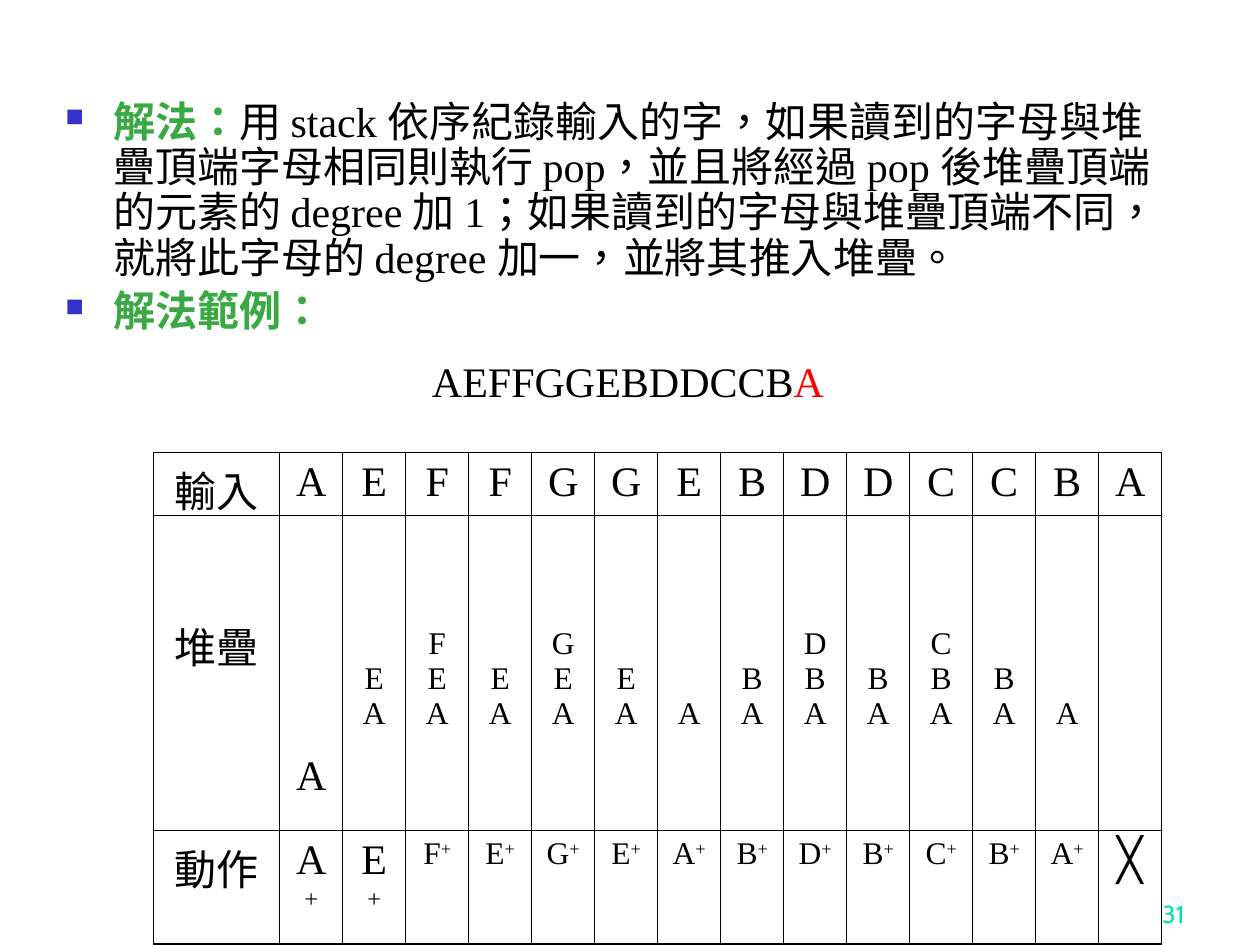
from dataclasses import dataclass

from pptx import Presentation
from pptx.dml.color import RGBColor as RGB
from pptx.enum.lang import MSO_LANGUAGE_ID as Lang
from pptx.enum.text import MSO_ANCHOR as Anchor, PP_ALIGN as Align
from pptx.oxml import parse_xml
from pptx.oxml.ns import nsdecls
from pptx.util import Inches, Pt


@dataclass(frozen=True)
class Theme:
    """Fonts, colours and type sizes of the slide."""
    serif: str = "Times New Roman"
    sans: str = "Cabin"
    ink: str = "000000"
    paper: str = "FFFFFF"
    heading: str = "3BA943"
    bullet: str = "3333CC"
    mismatch: str = "FF0000"
    number: str = "00E4A8"
    large: int = 24
    medium: int = 18
    small: int = 14


T = Theme()

SOLUTION = (
    "用 stack 依序紀錄輸入的字，如果讀到的字母與堆疊頂端字母相同則執行 pop，"
    "並且將經過 pop 後堆疊頂端的元素的 degree 加 1；如果讀到的字母與堆疊頂端不同，"
    "就將此字母的 degree 加一，並將其推入堆疊。"
)
WORD = "AEFFGGEBDDCCBA"
STACKS = ["A", "EA", "FEA", "EA", "GEA", "EA", "A", "BA", "DBA", "BA", "CBA", "BA", "A", ""]
ACTIONS = "AEFEGEABDBCBA"
ROW_HEIGHTS = [0.5, 2.5, 0.9]
LABEL_WIDTH, LETTER_WIDTH = 1, 0.5
STACK_BASE, STACK_LINE = 1.44, 0.28


def add_run(p, text, size=T.large, color=T.ink, font=T.serif, bold=False, raised=False):
    """Append a formatted run to a paragraph."""
    r = p.add_run()
    r.text = text
    r.font.size = Pt(size)
    r.font.name = font
    r.font.bold = bold
    r.font.color.rgb = RGB.from_string(color)
    r.font.language_id = Lang.TRADITIONAL_CHINESE
    if raised:
        r._r.get_or_add_rPr().set("baseline", "30000")


def add_box(s, left, top, width, height, wrap=True, anchor=Anchor.TOP):
    """Add a text box and return its text frame."""
    tf = s.shapes.add_textbox(*map(Inches, (left, top, width, height))).text_frame
    tf.word_wrap = wrap
    tf.vertical_anchor = anchor
    return tf


def add_bullet(p):
    """Give a paragraph a square bullet with a hanging indent."""
    pPr = p._p.get_or_add_pPr()
    pPr.set("marL", str(Inches(0.38)))
    pPr.set("indent", str(-Inches(0.38)))
    p.line_spacing = 0.9
    for xml in (
        f'<a:buClr {nsdecls("a")}><a:srgbClr val="{T.bullet}"/></a:buClr>',
        f'<a:buSzPct {nsdecls("a")} val="60000"/>',
        f'<a:buChar {nsdecls("a")} char="■"/>',
    ):
        pPr.append(parse_xml(xml))


def style_cell(cell, top=0.05):
    """Set the borders, fill and top margin of a cell."""
    tcPr = cell._tc.get_or_add_tcPr()
    for side in "LRTB":
        tcPr.append(parse_xml(
            f'<a:ln{side} {nsdecls("a")} w="12700"><a:solidFill>'
            f'<a:srgbClr val="{T.ink}"/></a:solidFill></a:ln{side}>'))
    cell.fill.solid()
    cell.fill.fore_color.rgb = RGB.from_string(T.paper)
    cell.margin_top = Inches(top)


def fill_cell(cell, lines, size=T.large, top=0.05, suffix=""):
    """Write centred lines into a cell, with an optional raised suffix."""
    style_cell(cell, top)
    tf = cell.text_frame
    for i, line in enumerate(lines):
        p = tf.add_paragraph() if i else tf.paragraphs[0]
        p.alignment = Align.CENTER
        add_run(p, line, size)
        if suffix:
            add_run(p, suffix, size, raised=True)


def add_explanation(s):
    """Add the bulleted description of the method."""
    tf = add_box(s, 0.42, 0.75, 8.83, 6.15)
    p = tf.paragraphs[0]
    add_bullet(p)
    add_run(p, "解法：", color=T.heading, bold=True)
    add_run(p, SOLUTION)
    p = tf.add_paragraph()
    p.space_before = Pt(4.8)
    add_bullet(p)
    add_run(p, "解法範例：", color=T.heading, bold=True)


def add_trace(s):
    """Add the table of input, stack and action per letter."""
    widths = [LABEL_WIDTH] + [LETTER_WIDTH] * len(WORD)
    table = s.shapes.add_table(
        len(ROW_HEIGHTS), len(widths), Inches(1.22), Inches(3.59),
        Inches(sum(widths)), Inches(sum(ROW_HEIGHTS))).table
    table.first_row = table.horz_banding = False
    for col, width in zip(table.columns, widths):
        col.width = Inches(width)
    for row, height in zip(table.rows, ROW_HEIGHTS):
        row.height = Inches(height)
    for i, (label, top) in enumerate([("輸入", 0.05), ("堆疊", 0.79), ("動作", 0.05)]):
        fill_cell(table.cell(i, 0), [label], top=top)
    for j, (letter, stack) in enumerate(zip(WORD, STACKS), 1):
        fill_cell(table.cell(0, j), [letter])
        if j == 1:
            fill_cell(table.cell(1, j), stack, top=1.89)
        else:
            top = STACK_BASE - STACK_LINE * max(len(stack) - 1, 0)
            fill_cell(table.cell(1, j), stack, T.medium, top)
    for j, letter in enumerate(ACTIONS, 1):
        fill_cell(table.cell(2, j), [letter], T.large if j < 3 else T.medium, suffix="+")
    fill_cell(table.cell(2, len(WORD)), ["╳"])


def main():
    """Build the slide and save it."""
    prs = Presentation()
    prs.slide_width, prs.slide_height = Inches(10), Inches(7.5)
    s = prs.slides.add_slide(prs.slide_layouts[6])
    p = add_box(s, 7.42, 6.92, 2.08, 0.5, anchor=Anchor.BOTTOM).paragraphs[0]
    p.alignment = Align.RIGHT
    add_run(p, "31", T.small, T.number, T.sans)
    add_explanation(s)
    p = add_box(s, 3.33, 2.77, 3.35, 0.5, wrap=False).paragraphs[0]
    add_run(p, WORD[:-1])
    add_run(p, WORD[-1], color=T.mismatch)
    add_trace(s)
    prs.save("out.pptx")


if __name__ == "__main__":
    main()
